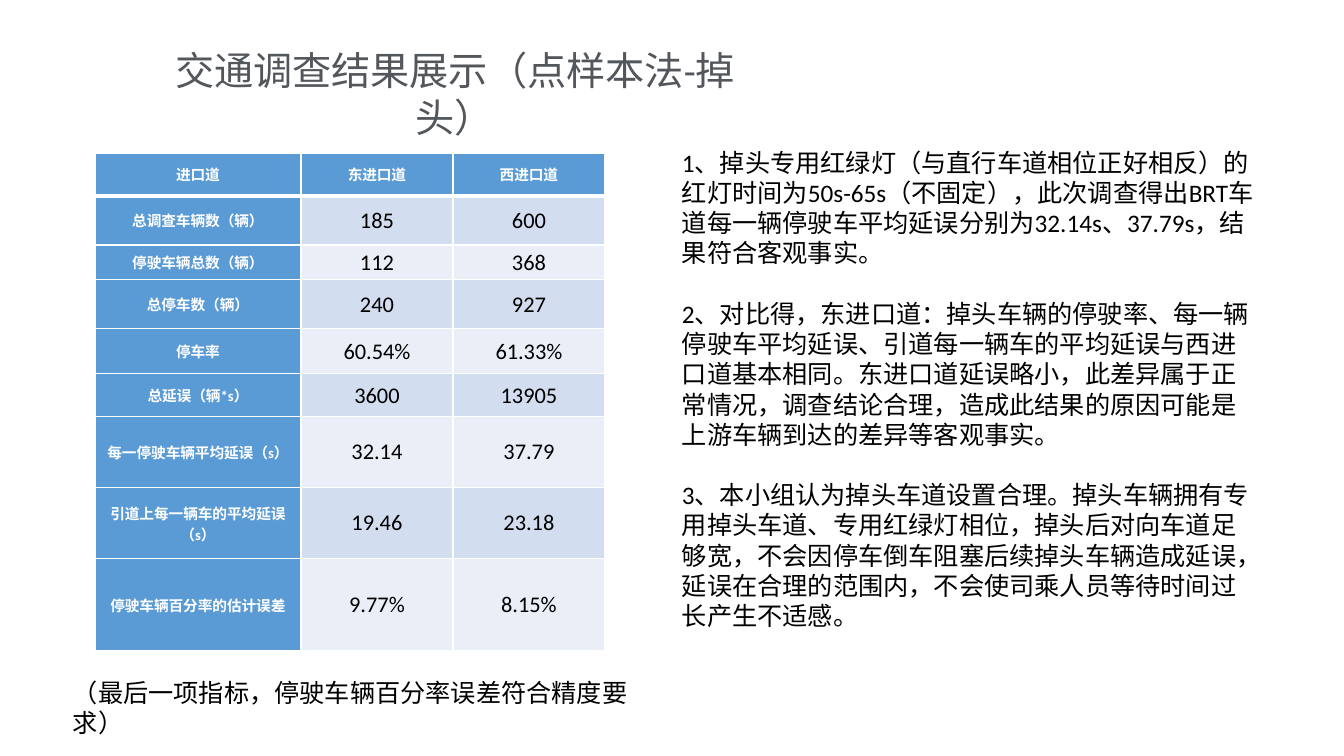
from lxml import etree
from pptx import Presentation
from pptx.dml.color import RGBColor
from pptx.enum.text import MSO_ANCHOR as Anchor, MSO_AUTO_SIZE as AutoSize, PP_ALIGN as Align
from pptx.oxml.ns import qn
from pptx.util import Emu, Pt

EMU_PER_PX = 914400 / 100.8
FONT = "Calibri"
COLORS = {
    "title": "53575C",
    "text": "000000",
    "white": "FFFFFF",
    "header": "5B9BD5",
    "band_dark": "D2DEEF",
    "band_light": "EAEFF7",
}


def px(length):
    return Emu(round(length * EMU_PER_PX))


def rgb(name):
    return RGBColor.from_string(COLORS[name])


def write(frame, *paragraphs, size=18, color="text", bold=False, align=Align.LEFT, gap=0):
    """Fill a text frame, with a gap in points between paragraphs."""
    frame.word_wrap = True
    for index, text in enumerate(paragraphs):
        paragraph = frame.paragraphs[0] if index == 0 else frame.add_paragraph()
        paragraph.alignment = align
        if index:
            paragraph.space_before = Pt(gap)
        run = paragraph.add_run()
        run.text = text
        run.font.name = FONT
        run.font.size = Pt(size)
        run.font.bold = bold
        run.font.color.rgb = rgb(color)


class SurveySlide:
    def __init__(self, deck):
        self.slide = deck.slides.add_slide(deck.slide_layouts[5])

    def title(self, text, left, top, width, height):
        heading = self.slide.shapes.title
        heading.left, heading.top, heading.width, heading.height = map(px, (left, top, width, height))
        frame = heading.text_frame
        frame.vertical_anchor = Anchor.TOP
        frame.auto_size = AutoSize.SHAPE_TO_FIT_TEXT
        write(frame, text, size=28, color="title", align=Align.CENTER)

    def text(self, paragraphs, left, top, width, height, **style):
        box = self.slide.shapes.add_textbox(*map(px, (left, top, width, height)))
        box.text_frame.auto_size = AutoSize.SHAPE_TO_FIT_TEXT
        write(box.text_frame, *paragraphs, **style)

    def table(self, rows, left, top, col_widths, row_heights):
        area = map(px, (left, top, sum(col_widths), sum(row_heights)))
        grid = self.slide.shapes.add_table(len(rows), len(col_widths), *area).table
        for column, width in zip(grid.columns, col_widths):
            column.width = px(width)
        for r, values in enumerate(rows):
            grid.rows[r].height = px(row_heights[r])
            for c, value in enumerate(values):
                self.cell(grid.cell(r, c), value, r, c)

    def cell(self, cell, value, row, col):
        is_label = row == 0 or col == 0
        band = "band_dark" if row % 2 else "band_light"
        cell.fill.solid()
        cell.fill.fore_color.rgb = rgb("header" if is_label else band)
        cell.vertical_anchor = Anchor.MIDDLE
        cell.margin_left = cell.margin_right = px(7)
        cell.margin_top = cell.margin_bottom = 0
        write(cell.text_frame, value, size=10.5 if is_label else 16,
              color="white" if is_label else "text", bold=is_label, align=Align.CENTER)
        self.borders(cell, row)

    def borders(self, cell, row):
        properties = cell._tc.get_or_add_tcPr()
        for index, side in enumerate("LRTB"):
            under_header = (row, side) in ((0, "B"), (1, "T"))
            line = etree.Element(qn("a:ln" + side), w=str(Pt(3 if under_header else 1)))
            fill = etree.SubElement(line, qn("a:solidFill"))
            etree.SubElement(fill, qn("a:srgbClr"), val=COLORS["white"])
            properties.insert(index, line)


RESULTS = [
    ("进口道", "东进口道", "西进口道"),
    ("总调查车辆数（辆）", "185", "600"),
    ("停驶车辆总数（辆）", "112", "368"),
    ("总停车数（辆）", "240", "927"),
    ("停车率", "60.54%", "61.33%"),
    ("总延误（辆*s）", "3600", "13905"),
    ("每一停驶车辆平均延误（s）", "32.14", "37.79"),
    ("引道上每一辆车的平均延误（s）", "19.46", "23.18"),
    ("停驶车辆百分率的估计误差", "9.77%", "8.15%"),
]
FINDINGS = [
    "1、掉头专用红绿灯（与直行车道相位正好相反）的红灯时间为50s-65s（不固定），此次调查得出BRT"
    "车道每一辆停驶车平均延误分别为32.14s、37.79s，结果符合客观事实。",
    "2、对比得，东进口道：掉头车辆的停驶率、每一辆停驶车平均延误、引道每一辆车的平均延误与西进口道"
    "基本相同。东进口道延误略小，此差异属于正常情况，调查结论合理，造成此结果的原因可能是上游车辆"
    "到达的差异等客观事实。",
    "3、本小组认为掉头车道设置合理。掉头车辆拥有专用掉头车道、专用红绿灯相位，掉头后对向车道足够宽，"
    "不会因停车倒车阻塞后续掉头车辆造成延误，延误在合理的范围内，不会使司乘人员等待时间过长产生不适感。",
]


def main():
    deck = Presentation()
    deck.slide_width, deck.slide_height = px(1344), px(756)
    survey = SurveySlide(deck)

    # Title
    survey.title("交通调查结果展示（点样本法-掉头）", 131, 41, 648, 57)

    # Survey results and the remark below them
    survey.table(RESULTS, 95, 153, [206, 152, 152], [43, 49, 35, 49, 45, 43, 71, 71, 92])
    survey.text(["（最后一项指标，停驶车辆百分率误差符合精度要求）"], 63, 672, 608, 40)

    # Findings
    survey.text(FINDINGS, 672, 142, 598, 591, gap=21.6)

    deck.save("out.pptx")


if __name__ == "__main__":
    main()
